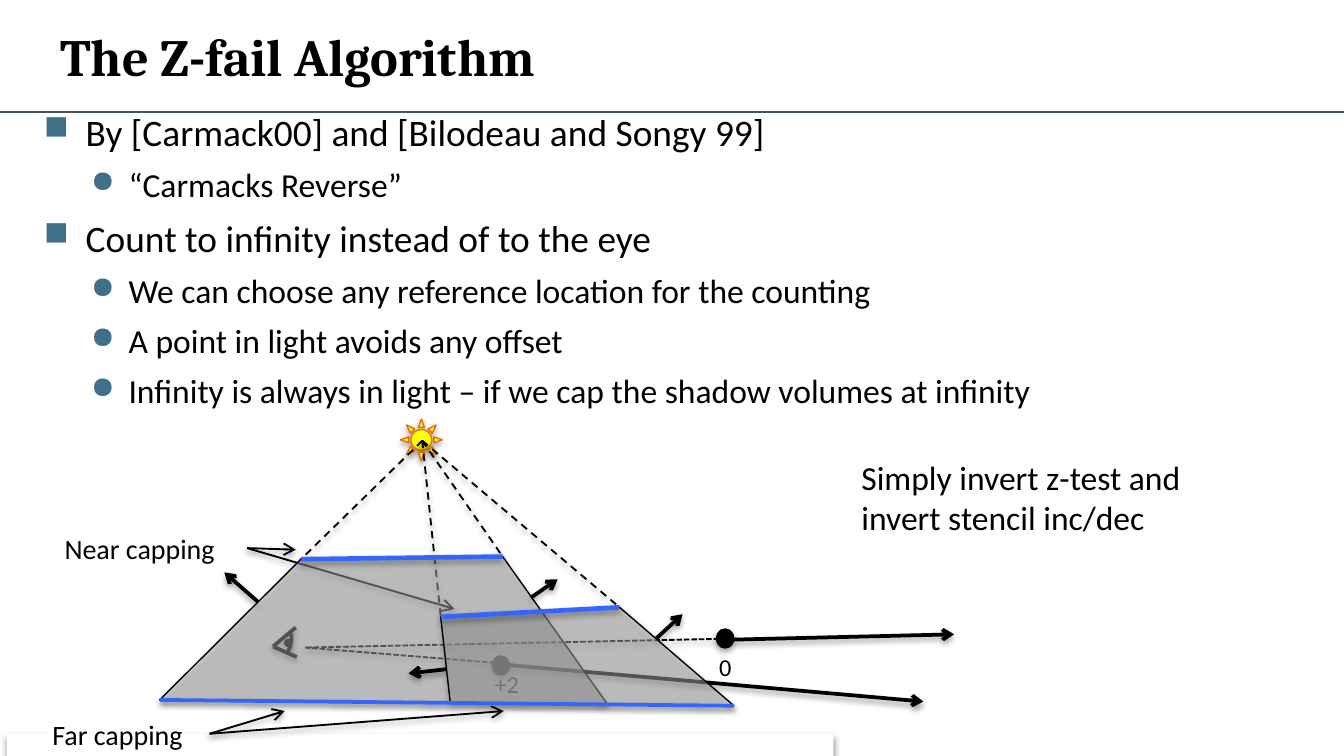
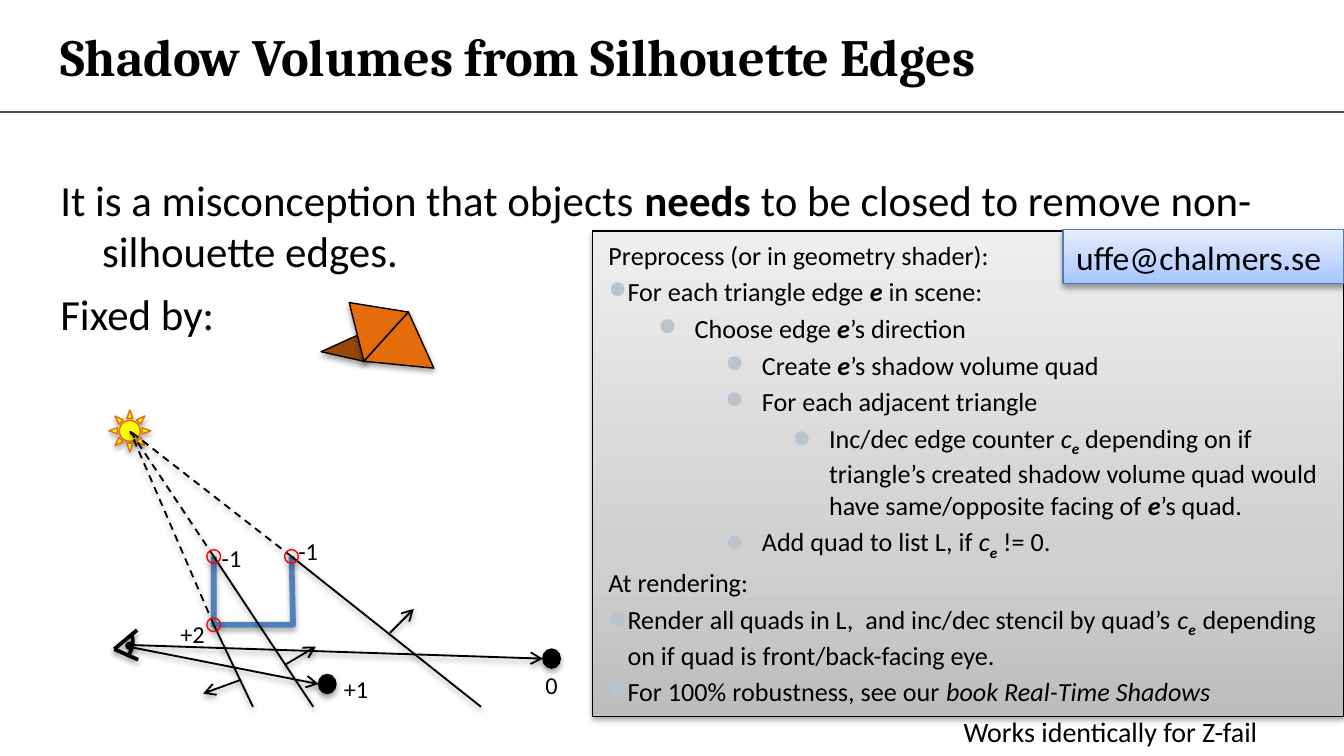
from lxml import etree
from pptx import Presentation
from pptx.dml.color import RGBColor
from pptx.enum.dml import MSO_LINE
from pptx.enum.shapes import MSO_CONNECTOR, MSO_SHAPE
from pptx.enum.text import MSO_ANCHOR
from pptx.oxml.ns import qn
from pptx.util import Cm, Pt

STRAIGHT = MSO_CONNECTOR.STRAIGHT
RECT, OVAL, ARC, SUN = MSO_SHAPE.RECTANGLE, MSO_SHAPE.OVAL, MSO_SHAPE.ARC, MSO_SHAPE.SUN
DASH, FINE_DASH = MSO_LINE.DASH, MSO_LINE.SQUARE_DOT
TOP, MIDDLE = MSO_ANCHOR.TOP, MSO_ANCHOR.MIDDLE
rgb = RGBColor.from_string

BLACK, RULE, ACCENT, PALE = "000000", "425563", "406F89", "B9C4CF"
YELLOW, ORANGE, BROWN, RED = "FFFF00", "E46C0A", "984807", "FF0000"
CAP_BLUE, OBJECT_BLUE, VOLUME_GREY = "3366FF", "4F81BD", "A6A6A6"
GREY_FADE = [(0, "BDBDBD"), (35, "D1D1D1"), (100, "EEEEEE")]
BLUE_FADE = [(0, "A4C4FF"), (35, "BFD4FF"), (100, "E6EEFF")]

# Paragraph styles: size, space before, left indent, first-line indent, bullet, bullet colour
STYLES = {
    "title": (28, 0, 0, 0, None, None),
    "body": (23, 6, 0.79, -0.79, None, None),
    "square": (20, 6, 0.79, -0.79, "■", ACCENT),
    "dot": (18, 5.2, 1.6, -0.71, "●", ACCENT),
    "note": (18, 0, 0, 0, None, None),
    "caption": (15, 0, 0, 0, None, None),
    "label": (13, 0, 0, 0, None, None),
    "phase": (14, 2.8, 0, 0, None, None),
}
for depth in range(4):
    STYLES[f"step{depth}"] = (14, 2.8, 0.36 + 1.27 * depth, -0.69, "●", PALE)


def draw(slide, kind, place, fill=None, line=BLACK, width=0.75, dash=None,
         arrow=False, alpha=None, turn=0, closed=True, shadow=True):
    """Draw a "line" (two points), an "outline" (points) or a preset (box), in cm."""
    if kind == "line":
        (x1, y1), (x2, y2) = place
        shape = slide.shapes.add_connector(STRAIGHT, Cm(x1), Cm(y1), Cm(x2), Cm(y2))
    elif kind == "outline":
        points = [(Cm(x), Cm(y)) for x, y in place]
        builder = slide.shapes.build_freeform(*points[0])
        builder.add_line_segments(points[1:], close=closed)
        shape = builder.convert_to_shape()
    else:
        shape = slide.shapes.add_shape(kind, *map(Cm, place))
        shape.rotation = turn
    properties = shape._element.spPr

    if kind != "line":
        shape.shadow.inherit = False
        if fill is None:
            shape.fill.background()
        elif isinstance(fill, list):
            shape.fill.gradient()
            shape.fill.gradient_angle = 90
            stops = properties.find(".//" + qn("a:gsLst"))
            stops.clear()
            for position, colour in fill:
                stop = etree.SubElement(stops, qn("a:gs"), pos=str(position * 1000))
                etree.SubElement(stop, qn("a:srgbClr"), val=colour)
        else:
            shape.fill.solid()
            shape.fill.fore_color.rgb = rgb(fill)
            if alpha:
                colour = properties.find(qn("a:solidFill"))[0]
                etree.SubElement(colour, qn("a:alpha"), val=str(alpha * 1000))

    if line is None:
        shape.line.fill.background()
    else:
        shape.line.color.rgb = rgb(line)
        shape.line.width = Pt(width)
        if dash:
            shape.line.dash_style = dash
        if arrow:
            etree.SubElement(properties.find(qn("a:ln")), qn("a:tailEnd"), type="arrow")

    effects = properties.find(qn("a:effectLst"))
    if effects is None:
        effects = etree.SubElement(properties, qn("a:effectLst"))
    if shadow:
        cast = etree.SubElement(effects, qn("a:outerShdw"), blurRad="40000",
                                dist="22000", dir="5400000", rotWithShape="0")
        colour = etree.SubElement(cast, qn("a:srgbClr"), val=BLACK)
        etree.SubElement(colour, qn("a:alpha"), val="36000")
    return shape


def write(shape, paragraphs, margins=(0.25, 0.13), anchor=TOP):
    """Each paragraph is (style, run, ...); a run is text or (text, flags b, i, s)."""
    frame = shape.text_frame
    frame.word_wrap = True
    frame.vertical_anchor = anchor
    frame.margin_left = frame.margin_right = Cm(margins[0])
    frame.margin_top = frame.margin_bottom = Cm(margins[1])
    for number, (style, *runs) in enumerate(paragraphs):
        size, before, left, first, bullet, bullet_colour = STYLES[style]
        paragraph = frame.add_paragraph() if number else frame.paragraphs[0]
        paragraph.space_before = Pt(before if number else 0)
        layout = paragraph._p.get_or_add_pPr()
        layout.set("algn", "l")
        layout.set("marL", str(Cm(left)))
        layout.set("indent", str(Cm(first)))
        if bullet:
            colour = etree.SubElement(layout, qn("a:buClr"))
            etree.SubElement(colour, qn("a:srgbClr"), val=bullet_colour)
            etree.SubElement(layout, qn("a:buSzPct"), val="90000")
            etree.SubElement(layout, qn("a:buChar"), char=bullet)
        for part in runs:
            text, flags = (part, "") if isinstance(part, str) else part
            run = paragraph.add_run()
            run.text = text
            run.font.size = Pt(size)
            run.font.name = "Cambria" if style == "title" else "Calibri"
            run.font.color.rgb = rgb(BLACK)
            run.font.bold = style == "title" or "b" in flags
            run.font.italic = "i" in flags
            if "s" in flags:
                run._r.get_or_add_rPr().set("baseline", "-25000")


presentation = Presentation()
presentation.slide_width, presentation.slide_height = Cm(25.4), Cm(14.29)
blank = presentation.slide_layouts[6]
zfail = presentation.slides.add_slide(blank)
silhouette = presentation.slides.add_slide(blank)
TIGHT = (0.18, 0.1)

# White strip behind the lower edge
draw(zfail, RECT, (0.13, 13.87, 15.62, 0.66), "FFFFFF", None)

# Shared by both slides: rule, title, body, light and eye
light, light2 = (7.98, 8.33), (2.46, 8.15)
for slide, title, body_box, body, (sun_x, sun_y), (eye_x, eye_y) in [
    (zfail, "The Z-fail Algorithm", (0.58, 1.93, 21.56, 11.3), [
        ("square", "By [Carmack00] and [Bilodeau and Songy 99]"),
        ("dot", "“Carmacks Reverse”"),
        ("square", "Count to infinity instead of to the eye"),
        ("dot", "We can choose any reference location for the counting"),
        ("dot", "A point in light avoids any offset"),
        ("dot", "Infinity is always in light – if we cap the shadow volumes at infinity"),
    ], (7.57, 7.92), (5.16, 12.22)),
    (silhouette, "Shadow Volumes from Silhouette Edges", (0.89, 3.15, 23.6, 10.21), [
        ("body", "It is a misconception that objects ", ("needs", "b"),
         " to be closed to remove non-silhouette edges."),
        ("body", "Fixed by:"),
    ], (2.06, 7.75), (2.16, 12.27)),
]:
    draw(slide, "line", [(0, 2.11), (25.4, 2.11)], line=RULE, width=1, shadow=False)
    title_box = slide.shapes.add_textbox(*map(Cm, (0.89, 0, 23.6, 2.11)))
    write(title_box, [("title", title)], anchor=MIDDLE)
    write(slide.shapes.add_textbox(*map(Cm, body_box)), body)
    draw(slide, SUN, (sun_x, sun_y, 0.79, 0.79), YELLOW, ORANGE)
    draw(slide, ARC, (eye_x, eye_y - 0.31, 0.3, 0.69), width=2, turn=26)
    for lid_x, lid_y in [(0.45, 0.2), (0.43, -0.36)]:
        draw(slide, "line", [(eye_x, eye_y), (eye_x + lid_x, eye_y + lid_y)], width=2)
    draw(slide, OVAL, (eye_x + 0.22, eye_y - 0.13, 0.13, 0.13), BLACK, turn=26)

# Viewed points with their stencil counts
for slide, x, y, count, count_x, count_y in [
    (zfail, 9.3, 12.4, "+2", 9.17, 12.55),
    (zfail, 13.54, 11.89, "0", 13.41, 12.22),
    (silhouette, 6.02, 12.75, "+1", 6.32, 12.65),
    (silhouette, 10.26, 12.27, "0", 10.13, 12.57),
]:
    draw(slide, OVAL, (x, y, 0.33, 0.36), BLACK)
    count_box = slide.shapes.add_textbox(*map(Cm, (count_x, count_y, 0.91, 0.74)))
    write(count_box, [("label", count)], TIGHT)

# Z-fail: light rays to the corners of the two near caps
near_left, near_right = (5.69, 10.57), (9.5, 10.52)
inner_left, inner_right = (8.33, 11.66), (11.71, 11.48)
far_left, far_right = (3.02, 13.23), (13.87, 13.34)
for corner in (near_left, near_right, inner_left, inner_right):
    draw(zfail, "line", [light, corner], width=1, dash=DASH)

# Z-fail: rays to infinity and sight lines
for ray in [[(9.6, 12.57), (17.45, 13.26)], [(13.87, 12.09), (18.03, 11.99)]]:
    draw(zfail, "line", ray, width=2, arrow=True)
for point in [(13.87, 12.07), (9.63, 12.55)]:
    draw(zfail, "line", [point, (5.77, 12.24)], width=1, dash=FINE_DASH)

# Z-fail: remark and cap labels with their arrows
remark = zfail.shapes.add_textbox(*map(Cm, (16.1, 8.53, 6.81, 1.73)))
write(remark, [("note", "Simply invert z-test and"), ("note", "invert stencil inc/dec")], TIGHT)
for caption, box, start, targets in [
    ("Near capping", (0.97, 9.91, 3.71, 0.89), (4.67, 10.36), [(5.59, 10.39), (8.59, 11.51)]),
    ("Far capping", (0.74, 13.44, 3.23, 0.89), (3.96, 13.87), [(5.38, 13.44), (9.52, 13.44)]),
]:
    write(zfail.shapes.add_textbox(*map(Cm, box)), [("caption", caption)])
    for target in targets:
        draw(zfail, "line", [start, target], width=1, arrow=True)

# Z-fail: shadow volumes over their outward normals, then the caps
for normals, volume in [
    ([[(10.03, 11.3), (10.54, 10.95)], [(4.88, 11.38), (4.24, 10.82)]],
     [near_left, far_left, (11.48, 13.31), near_right]),
    ([[(8.43, 12.65), (7.72, 12.73)], [(12.4, 12.07), (12.9, 11.61)]],
     [inner_right, far_right, (8.51, 13.28), inner_left]),
]:
    for normal in normals:
        draw(zfail, "line", normal, width=2, arrow=True)
    draw(zfail, "outline", volume, VOLUME_GREY, alpha=50)
for cap, width in [((far_left, far_right), 2), ((near_left, near_right), 2.5),
                   ((inner_left, inner_right), 2.5)]:
    draw(zfail, "line", cap, line=CAP_BLUE, width=width)

# Silhouette: open object, with light rays, volume edges and counters at its corners
upper_left, lower_left, lower_right, upper_right = (
    (4.04, 10.52), (4.04, 11.81), (5.54, 11.81), (5.51, 10.52))
draw(silhouette, "outline", [upper_left, lower_left, lower_right, upper_right],
     line=OBJECT_BLUE, width=3, closed=False)
for corner, edge_x, counter, counter_x, counter_y in [
    (lower_left, 4.78, "+2", 3.23, 11.61),
    (upper_left, 5.92, "-1", 4.01, 10.16),
    (upper_right, 9.09, "-1", 5.46, 10.03),
]:
    draw(silhouette, "line", [corner, (edge_x, 13.36)], width=1)
    draw(silhouette, "line", [corner, light2], width=1, dash=DASH)
    draw(silhouette, OVAL, (corner[0] - 0.13, corner[1] - 0.13, 0.26, 0.26), line=RED)
    counter_box = silhouette.shapes.add_textbox(*map(Cm, (counter_x, counter_y, 0.91, 0.74)))
    write(counter_box, [("label", counter)], TIGHT)

# Silhouette: sight lines and edge normals
for arrow in [
    [(2.51, 12.24), (6.02, 12.93)], [(2.41, 12.19), (10.26, 12.45)],
    [(4.55, 12.85), (3.84, 13.11)], [(5.38, 12.57), (5.97, 12.22)],
    [(7.37, 11.96), (7.82, 11.51)],
]:
    draw(silhouette, "line", arrow, width=1, arrow=True)

# Silhouette: remark, algorithm panel and address
remark = silhouette.shapes.add_textbox(*map(Cm, (18.03, 13.41, 7.37, 0.84)))
write(remark, [("caption", "Works identically for Z-fail")], TIGHT)
edge, counter, index = ("e", "bi"), ("c", "i"), ("e", "bis")
panel = draw(silhouette, RECT, (11.2, 4.37, 14.2, 9.17), GREY_FADE)
write(panel, [
    ("phase", "Preprocess (or in geometry shader):"),
    ("step0", "For each triangle edge ", edge, " in scene:"),
    ("step1", "Choose edge ", edge, "’s direction"),
    ("step2", "Create ", edge, "’s shadow volume quad"),
    ("step2", "For each adjacent triangle"),
    ("step3", "Inc/dec edge counter ", counter, index,
     " depending on if triangle’s created shadow volume quad would have "
     "same/opposite facing of ", edge, "’s quad."),
    ("step2", "Add quad to list L, if ", counter, index, " != 0."),
    ("phase", "At rendering:"),
    ("step0", "Render all quads in L,  and inc/dec stencil by quad’s ", counter,
     ("e  ", "bis"), "depending on if quad is front/back-facing eye."),
    ("step0", "For 100% robustness, see our ", ("book Real-Time Shadows", "i")),
], (0.3, 0.15))
address = draw(silhouette, RECT, (20.09, 4.34, 5.31, 1.02), BLUE_FADE, "4B7EBC")
write(address, [("note", "uffe@chalmers.se")])

# Silhouette: three triangles sharing one edge
hinge_top, hinge_bottom = (7.72, 5.9), (6.88, 6.83)
for tip, colour in [((6.07, 6.65), BROWN), ((6.6, 5.72), ORANGE), ((8.2, 6.96), ORANGE)]:
    draw(silhouette, "outline", [hinge_top, hinge_bottom, tip], colour)

presentation.save("out.pptx")
